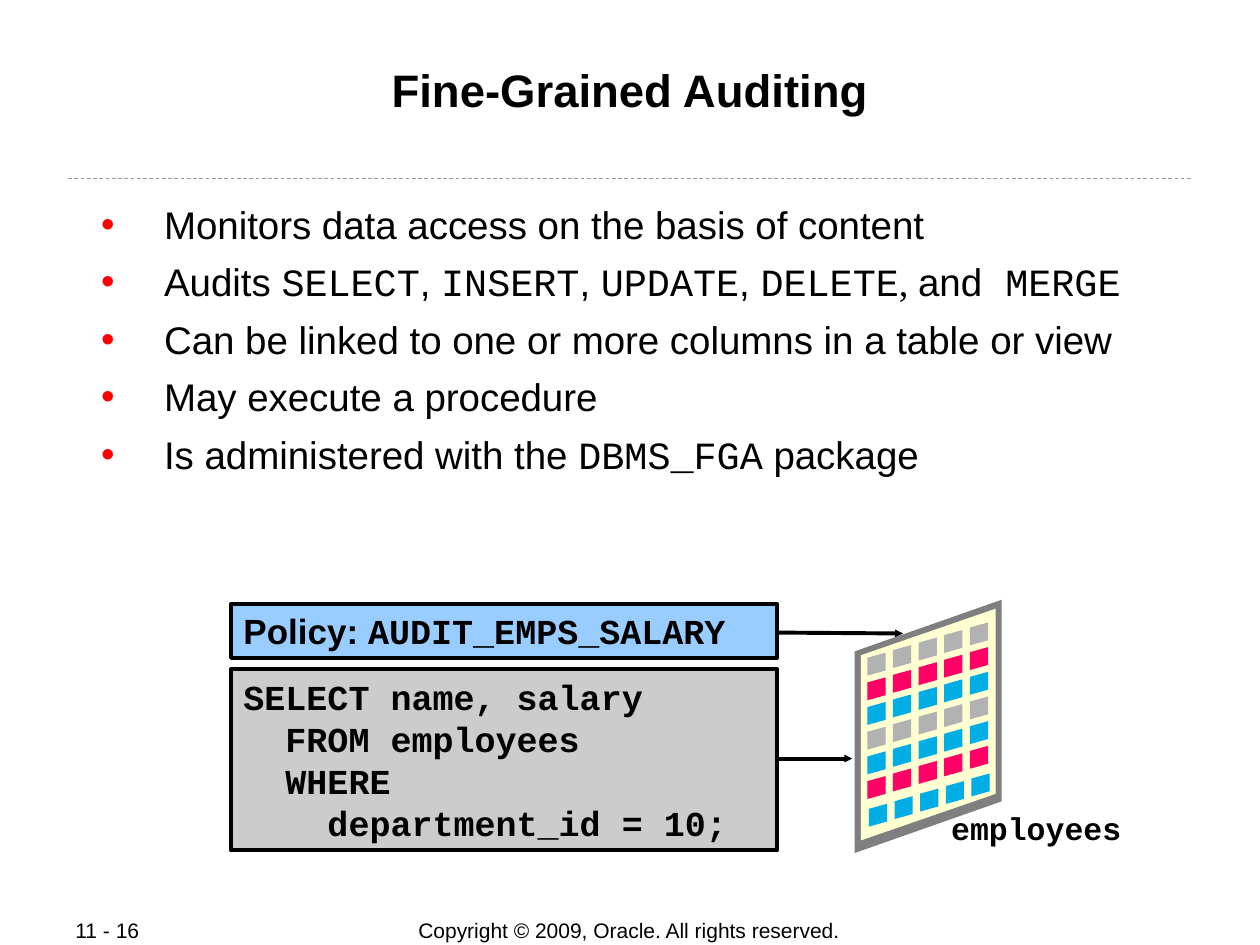
from lxml import etree
from pptx import Presentation
from pptx.dml.color import RGBColor
from pptx.enum import dml, shapes, text
from pptx.oxml import ns
from pptx.util import Pt

BLACK = RGBColor(0, 0, 0)
RULE_GRAY = RGBColor(0x99, 0x99, 0x99)
POLICY_BLUE = RGBColor(0x99, 0xCC, 0xFF)
CODE_GRAY = RGBColor(0xCC, 0xCC, 0xCC)
FRAME_GRAY = RGBColor(0x7F, 0x7F, 0x7F)
CREAM = RGBColor(0xFF, 0xFF, 0xD1)
SILVER = RGBColor(0xB2, 0xB2, 0xB2)
PINK = RGBColor(0xFF, 0, 0x66)
CYAN = RGBColor(0, 0xAD, 0xE5)
SANS, SERIF, MONO = "Arial", "Times New Roman", "Courier New"

BULLETS = [
    [("Monitors data access on the basis of content", SANS)],
    [("Audits ", SANS), ("SELECT", MONO), (", ", SANS), ("INSERT", MONO),
     (", ", SANS), ("UPDATE", MONO), (", ", SANS), ("DELETE", MONO),
     (", ", SERIF), ("and", SANS), (" MERGE", MONO)],
    [("Can be linked to one or more columns in a table or view", SANS)],
    [("May execute a procedure", SANS)],
    [("Is administered with the ", SANS), ("DBMS_FGA", MONO), (" package", SANS)],
]
POLICY = [[("Policy: ", SANS), ("AUDIT_EMPS_SALARY", MONO)]]
QUERY = [[(line, MONO)] for line in (
    "SELECT name, salary", "  FROM employees", "  WHERE", "    department_id = 10;")]
ROW_COLORS = [SILVER, PINK, CYAN, SILVER, CYAN, PINK, CYAN]


def place(sp, left, top, width, height):
    """Position and size a shape."""
    sp.left, sp.top, sp.width, sp.height = Pt(left), Pt(top), Pt(width), Pt(height)


def add_child(parent, tag, **attrs):
    """Append a DrawingML element to a parent."""
    return etree.SubElement(parent, ns.qn(tag), **attrs)


def set_frame(tf, inset, anchor=text.MSO_ANCHOR.TOP, wrap=True):
    """Set the margins, anchor and wrapping of a text frame."""
    tf.margin_left = tf.margin_right = Pt(inset[0])
    tf.margin_top = tf.margin_bottom = Pt(inset[1])
    tf.vertical_anchor = anchor
    tf.word_wrap = wrap
    tf.auto_size = text.MSO_AUTO_SIZE.NONE


def write(tf, paragraphs, size, bold=False, align=text.PP_ALIGN.LEFT):
    """Fill a text frame with paragraphs of (text, font) runs."""
    for i, runs in enumerate(paragraphs):
        p = tf.add_paragraph() if i else tf.paragraphs[0]
        p.alignment = align
        p.space_before = Pt(0)
        for words, face in runs:
            r = p.add_run()
            r.text = words
            r.font.name, r.font.size, r.font.bold = face, Pt(size), bold
            r.font.color.rgb = BLACK


def add_bullet(p):
    """Give a paragraph a hanging red bullet."""
    pPr = p._p.get_or_add_pPr()
    pPr.set("marL", str(Pt(45)))
    pPr.set("indent", str(Pt(-36)))
    add_child(add_child(pPr, "a:buClr"), "a:srgbClr", val="FF0000")
    add_child(pPr, "a:buFont", typeface=SANS)
    add_child(pPr, "a:buChar", char="•")


def add_title(s, words):
    """Fill the title placeholder."""
    sp = s.shapes.title
    place(sp, 48, 34.5, 624, 69)
    set_frame(sp.text_frame, (0.75, 0.75))
    write(sp.text_frame, [[(words, SANS)]], 26, True, text.PP_ALIGN.CENTER)


def add_body(s, paragraphs):
    """Fill the body placeholder with bullets."""
    sp = s.placeholders[1]
    place(sp, 48, 114, 624, 156)
    tf = sp.text_frame
    set_frame(tf, (0.75, 0.75))
    write(tf, paragraphs, 22)
    for i, p in enumerate(tf.paragraphs):
        add_bullet(p)
        p.space_before = Pt(6.5 if i else 0)


def add_label(s, box, words, face, size, bold=False,
              align=text.PP_ALIGN.LEFT, anchor=text.MSO_ANCHOR.MIDDLE):
    """Add a one-line text box."""
    sp = s.shapes.add_textbox(*map(Pt, box))
    set_frame(sp.text_frame, (7.2, 3.6), anchor, wrap=False)
    write(sp.text_frame, [[(words, face)]], size, bold, align)


def add_panel(s, box, color, paragraphs):
    """Add an outlined rectangle with bold text."""
    sp = s.shapes.add_shape(shapes.MSO_SHAPE.RECTANGLE, *map(Pt, box))
    sp.shadow.inherit = False
    sp.fill.solid()
    sp.fill.fore_color.rgb = color
    sp.line.color.rgb, sp.line.width = BLACK, Pt(2.25)
    set_frame(sp.text_frame, (7.2, 3.6))
    write(sp.text_frame, paragraphs, 20, True)


def add_line(s, start, end, color, width, dash=None, arrow=False):
    """Add a straight line, optionally dashed or with an arrowhead."""
    c = s.shapes.add_connector(shapes.MSO_CONNECTOR.STRAIGHT, *map(Pt, start + end))
    c.line.color.rgb, c.line.width = color, Pt(width)
    if dash:
        c.line.dash_style = dash
    if arrow:
        add_child(c.line._get_or_add_ln(), "a:tailEnd", type="triangle", w="sm", len="sm")
    add_child(c._element.spPr, "a:effectLst")


def add_slanted(group, left, top, width, height, rise, color):
    """Add a parallelogram with upright sides, its right side raised."""
    right = left + width
    corners = [(right, top - rise), (right, top - rise + height), (left, top + height)]
    fb = group.shapes.build_freeform(Pt(left), Pt(top))
    fb.add_line_segments([(Pt(x), Pt(y)) for x, y in corners])
    sp = fb.convert_to_shape()
    sp.shadow.inherit = False
    sp.fill.solid()
    sp.fill.fore_color.rgb = color
    sp.line.fill.background()


def add_table_icon(s):
    """Draw the slanted employees table with its coloured cells."""
    group = s.shapes.add_group_shape()
    add_slanted(group, 488.4, 372.2, 84, 115.2, 29.5, FRAME_GRAY)
    add_slanted(group, 492, 374.4, 77, 105.8, 26.6, CREAM)
    last = len(ROW_COLORS) - 1
    for row, color in enumerate(ROW_COLORS):
        dx, dy = (0.9, 1.7) if row == last else (0, 0)
        for col in range(5):
            add_slanted(group, 495.6 + 14.65 * col + dx,
                        375.9 + 14.1 * row - 4.32 * col + dy, 10.4, 10.2, 2.9, color)


def main():
    """Build and save the slide."""
    prs = Presentation()
    prs.slide_width, prs.slide_height = Pt(720), Pt(540)
    s = prs.slides.add_slide(prs.slide_layouts[1])
    add_label(s, (198, 524, 323, 15), "Copyright © 2009, Oracle. All rights reserved.",
              SANS, 12, align=text.PP_ALIGN.CENTER)
    add_line(s, (39, 102), (681, 102), RULE_GRAY, 0.5, dash=dml.MSO_LINE.DASH)
    add_label(s, (36, 524, 76, 15), "11 - 16", SANS, 12)
    add_title(s, "Fine-Grained Auditing")
    add_body(s, BULLETS)
    add_line(s, (440, 433.5), (487, 433.5), BLACK, 2.25, arrow=True)
    add_line(s, (444, 361.5), (516, 362), BLACK, 2.25, arrow=True)
    add_table_icon(s)
    add_label(s, (536.4, 458.6, 111.6, 29), "employees", MONO, 18, True,
              anchor=text.MSO_ANCHOR.TOP)
    add_panel(s, (132, 345, 312, 31), POLICY_BLUE, POLICY)
    add_panel(s, (132, 382.3, 312, 103.7), CODE_GRAY, QUERY)
    prs.save("out.pptx")


if __name__ == "__main__":
    main()
